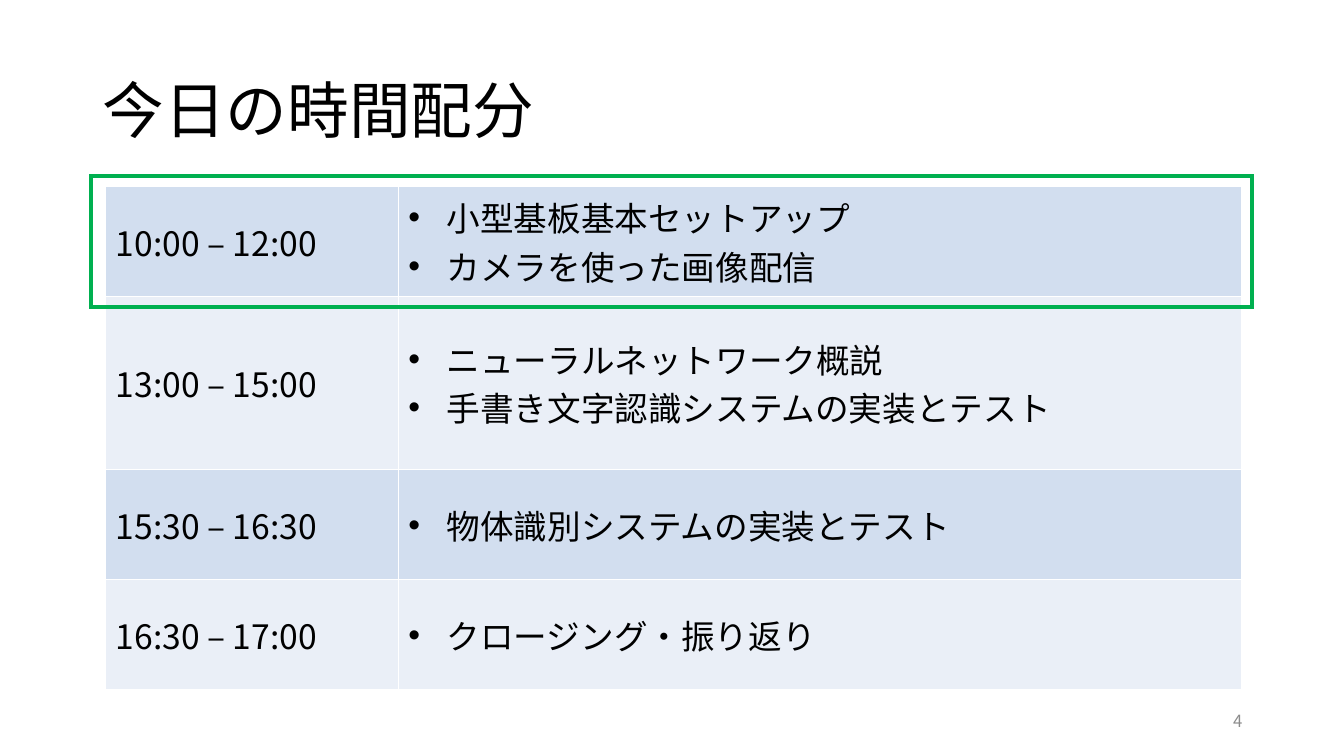
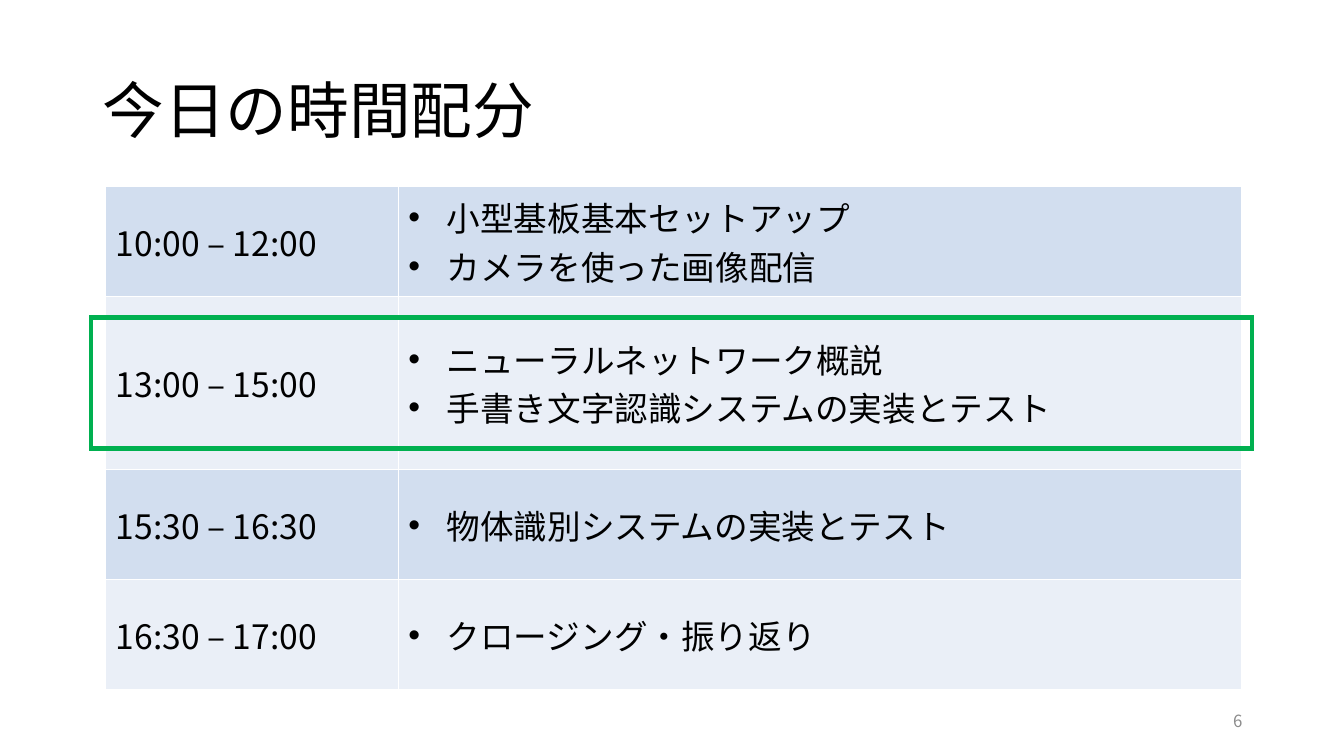
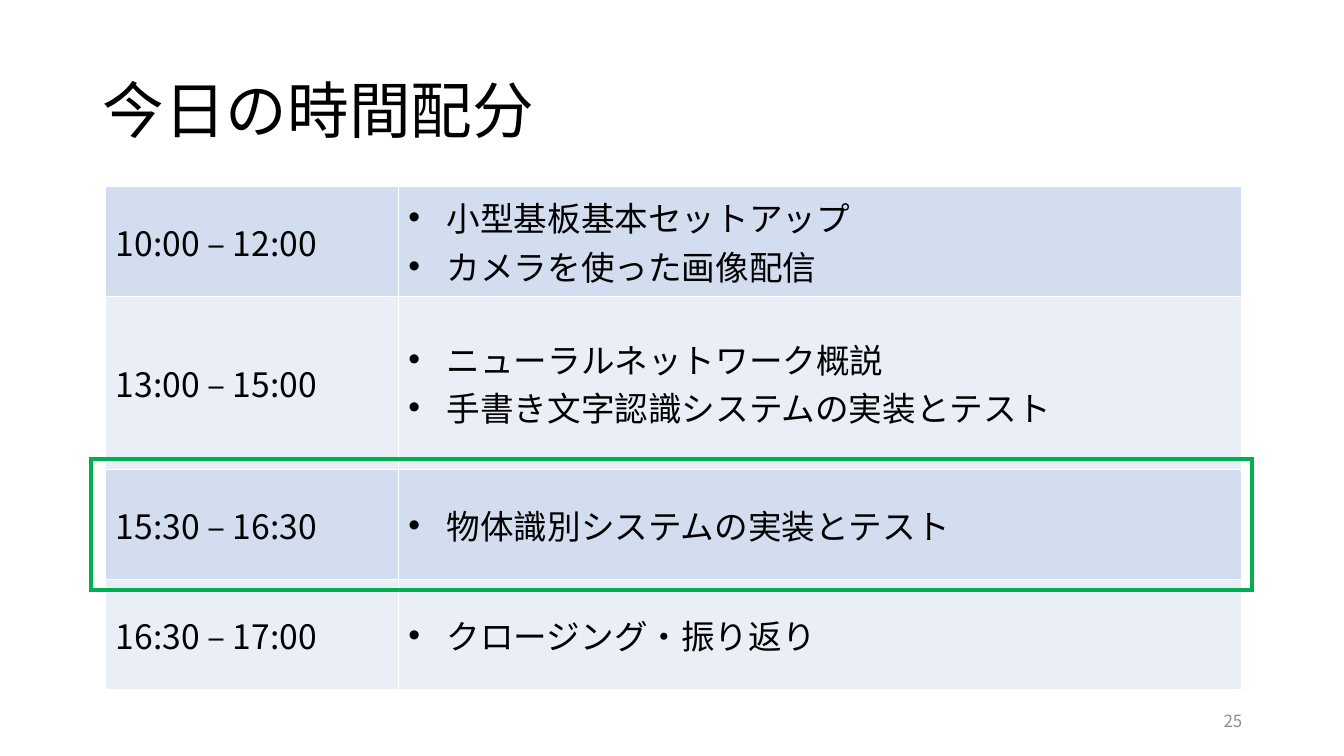
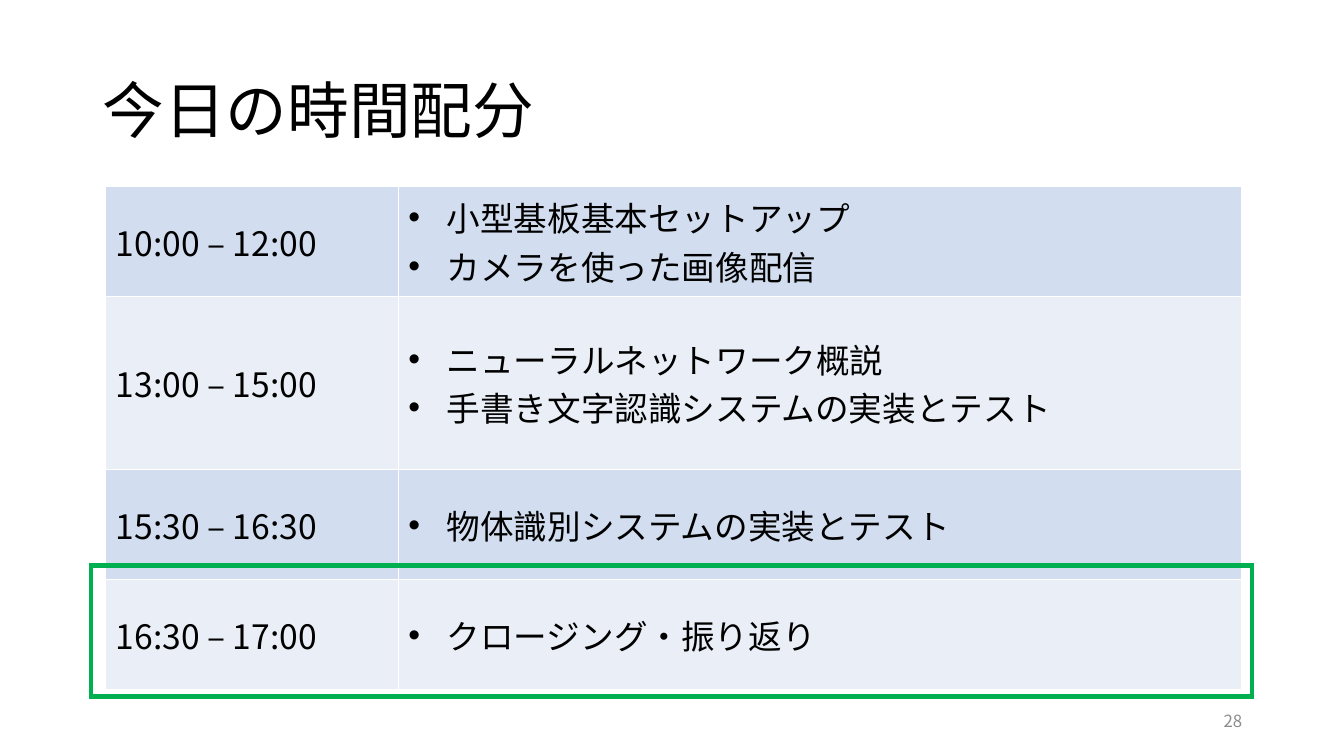
from dataclasses import dataclass
from itertools import product

from lxml.etree import SubElement
from pptx import Presentation
from pptx.dml.color import RGBColor
from pptx.enum.shapes import MSO_SHAPE
from pptx.enum.text import MSO_ANCHOR, PP_ALIGN
from pptx.oxml.ns import qn
from pptx.util import Inches, Pt


@dataclass(frozen=True)
class Theme:
    font: str = "Noto Sans CJK JP"
    text: str = "000000"
    muted: str = "8C8C8C"
    bands: tuple = ("D2DEEF", "EAEFF7")
    border: str = "FFFFFF"
    highlight: str = "00B050"
    title_size: int = 44
    body_size: int = 24
    footer_size: int = 12


THEME = Theme()
TITLE = "今日の時間配分"
SCHEDULE = [
    ("10:00 – 12:00", ["小型基板基本セットアップ", "カメラを使った画像配信"]),
    ("13:00 – 15:00", ["ニューラルネットワーク概説", "手書き文字認識システムの実装とテスト"]),
    ("15:30 – 16:30", ["物体識別システムの実装とテスト"]),
    ("16:30 – 17:00", ["クロージング・振り返り"]),
]
PAGE_NUMBERS = [4, 6, 25, 28]

TABLE_LEFT, TABLE_TOP = 1.05, 1.85
COLUMN_WIDTHS = [2.9, 8.36]
ROW_HEIGHTS = [1.09, 1.72, 1.09, 1.09]
FRAME_LEFT, FRAME_WIDTH, FRAME_HEIGHT = 0.9, 11.52, 1.3
FRAME_LOWEST = 6.91
BULLET_INDENT = 0.38


def set_attributes(obj, values):
    for name, value in values.items():
        setattr(obj, name, value)


def add_run(p, text, size, color):
    """Add a run with the theme font for both Latin and Japanese text."""
    r = p.add_run()
    r.text = text
    set_attributes(r.font, {"name": THEME.font, "size": Pt(size)})
    r.font.color.rgb = RGBColor.from_string(color)
    SubElement(r._r.get_or_add_rPr(), qn("a:ea"), typeface=THEME.font)


def add_text(slide, box, text, size, color, **paragraph_format):
    sp = slide.shapes.add_textbox(*map(Inches, box))
    tf = sp.text_frame
    set_attributes(tf, {"word_wrap": True, "vertical_anchor": MSO_ANCHOR.MIDDLE})
    p = tf.paragraphs[0]
    set_attributes(p, paragraph_format)
    add_run(p, text, size, color)


def add_bullet(p):
    pPr = p._p.get_or_add_pPr()
    pPr.set("marL", str(Inches(BULLET_INDENT)))
    pPr.set("indent", str(-Inches(BULLET_INDENT)))
    SubElement(pPr, qn("a:buFont"), typeface="Arial")
    SubElement(pPr, qn("a:buChar"), char="•")


def set_borders(cell):
    """Draw all four cell borders; they must come before the fill in the XML."""
    tcPr = cell._tc.get_or_add_tcPr()
    for i, side in enumerate("LRTB"):
        ln = SubElement(tcPr, qn(f"a:ln{side}"), w=str(Pt(1)))
        SubElement(SubElement(ln, qn("a:solidFill")), qn("a:srgbClr"), val=THEME.border)
        tcPr.insert(i, ln)


def fill_cell(cell, lines, band, bulleted):
    cell.vertical_anchor = MSO_ANCHOR.MIDDLE
    cell.fill.solid()
    cell.fill.fore_color.rgb = RGBColor.from_string(band)
    set_borders(cell)
    tf = cell.text_frame
    for i, line in enumerate(lines):
        p = tf.add_paragraph() if i else tf.paragraphs[0]
        if bulleted:
            add_bullet(p)
        add_run(p, line, THEME.body_size, THEME.text)


def add_schedule(slide):
    box = (TABLE_LEFT, TABLE_TOP, sum(COLUMN_WIDTHS), sum(ROW_HEIGHTS))
    table = slide.shapes.add_table(
        len(ROW_HEIGHTS), len(COLUMN_WIDTHS), *map(Inches, box)).table
    set_attributes(table, {"first_row": False, "horz_banding": False})
    for column, width in zip(table.columns, COLUMN_WIDTHS):
        column.width = Inches(width)
    for row, height in zip(table.rows, ROW_HEIGHTS):
        row.height = Inches(height)
    for i, j in product(range(len(ROW_HEIGHTS)), range(len(COLUMN_WIDTHS))):
        time, topics = SCHEDULE[i]
        lines = topics if j else [time]
        fill_cell(table.cell(i, j), lines, THEME.bands[i % 2], bulleted=j == 1)


def add_highlight(slide, row):
    """Frame one schedule row, centred on it but kept above the page number."""
    middle = TABLE_TOP + sum(ROW_HEIGHTS[:row]) + ROW_HEIGHTS[row] / 2
    top = min(middle - FRAME_HEIGHT / 2, FRAME_LOWEST - FRAME_HEIGHT)
    box = (FRAME_LEFT, top, FRAME_WIDTH, FRAME_HEIGHT)
    sp = slide.shapes.add_shape(MSO_SHAPE.RECTANGLE, *map(Inches, box))
    sp.shadow.inherit = False
    sp.fill.background()
    sp.line.color.rgb = RGBColor.from_string(THEME.highlight)
    sp.line.width = Pt(3)
    SubElement(sp.element.spPr.find(qn("a:ln")), qn("a:miter"), lim="800000")


def add_schedule_slide(prs, row, number):
    s = prs.slides.add_slide(prs.slide_layouts[6])
    add_text(s, (0.92, 0.4, 11.5, 1.45), TITLE, THEME.title_size, THEME.text,
             line_spacing=0.9)
    add_text(s, (9.42, 6.95, 3, 0.4), str(number), THEME.footer_size, THEME.muted,
             alignment=PP_ALIGN.RIGHT)
    add_schedule(s)
    add_highlight(s, row)


def main():
    prs = Presentation()
    set_attributes(prs, {"slide_width": Inches(13.33), "slide_height": Inches(7.5)})
    for row, number in enumerate(PAGE_NUMBERS):
        add_schedule_slide(prs, row, number)
    prs.save("out.pptx")


if __name__ == "__main__":
    main()
